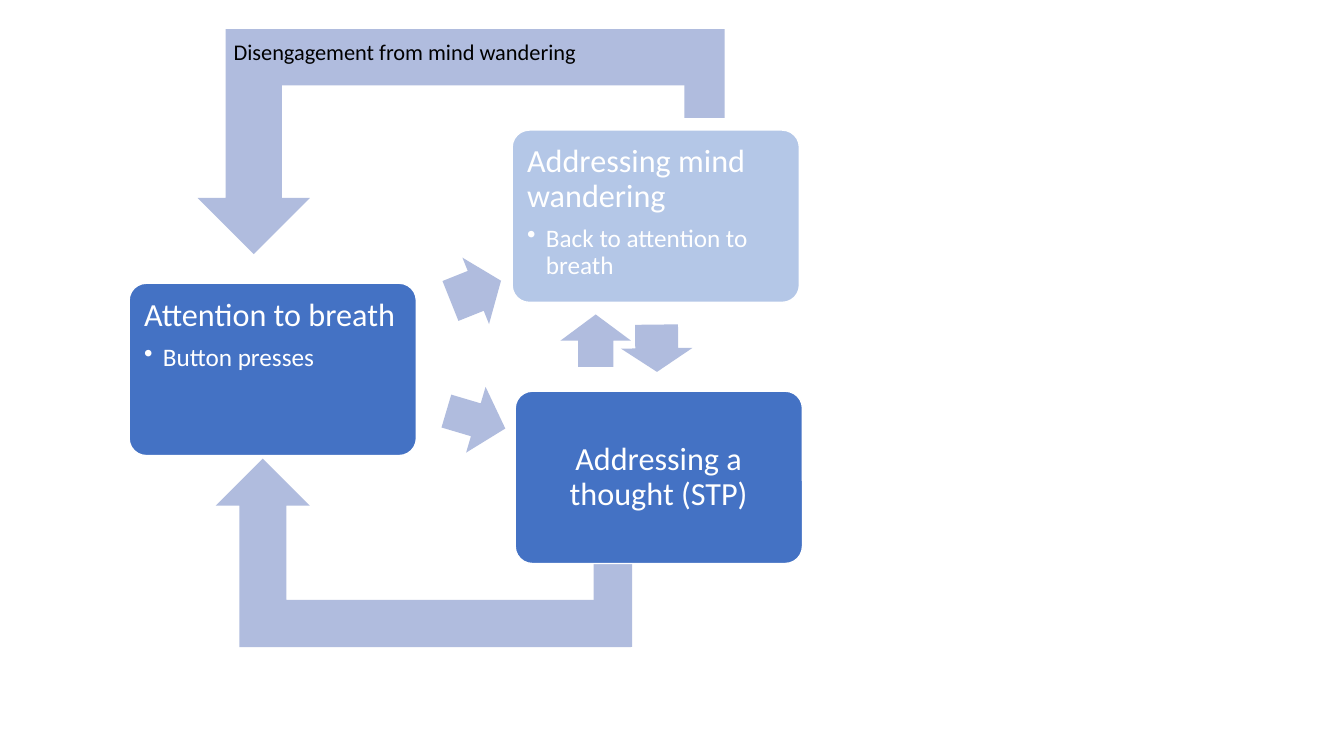
from lxml import etree
from pptx import Presentation
from pptx.dml.color import RGBColor
from pptx.enum.shapes import MSO_SHAPE
from pptx.enum.text import MSO_ANCHOR, PP_ALIGN
from pptx.oxml.ns import qn
from pptx.util import Pt

BENT, RECT, ROUND = MSO_SHAPE.BENT_UP_ARROW, MSO_SHAPE.RECTANGLE, MSO_SHAPE.ROUNDED_RECTANGLE
RIGHT, DOWN = MSO_SHAPE.RIGHT_ARROW, MSO_SHAPE.DOWN_ARROW
TOP, MIDDLE = MSO_ANCHOR.TOP, MSO_ANCHOR.MIDDLE
LEFT, CENTER = PP_ALIGN.LEFT, PP_ALIGN.CENTER
ARROW, BLUE, PALE, WHITE, BLACK = "B0BCDE", "4472C4", "B4C7E7", "FFFFFF", "000000"


def color(value):
    """Turn a hex string into a colour."""
    return RGBColor.from_string(value)


def add_filled(shapes, kind, box, fill, rotation=0, adj=()):
    """Add a flat filled preset shape without outline."""
    sp = shapes.add_shape(kind, *[Pt(v) for v in box])
    sp.shadow.inherit = False
    sp.fill.solid()
    sp.fill.fore_color.rgb = color(fill)
    sp.line.fill.background()
    sp.rotation = rotation
    for i, value in enumerate(adj):
        sp.adjustments[i] = value
    return sp


def format_text(p, size, hex_color):
    """Format every run of a paragraph."""
    for r in p.runs:
        r.font.size = Pt(size)
        r.font.name = "Calibri"
        r.font.color.rgb = color(hex_color)


def add_bullet(p, indent):
    """Give a paragraph a hanging bullet."""
    pPr = p._p.get_or_add_pPr()
    pPr.set("marL", str(Pt(indent)))
    pPr.set("indent", str(-Pt(indent)))
    etree.SubElement(pPr, qn("a:buChar")).set("char", "•")


def add_step(shapes, box, fill, heading, bullet=None):
    """Add a rounded step box, centred when it has only a heading."""
    sp = add_filled(shapes, ROUND, box, fill, adj=(0.1,))
    sp.line.color.rgb = color(WHITE)
    sp.line.width = Pt(1)
    tf = sp.text_frame
    tf.word_wrap = True
    tf.margin_left = tf.margin_right = tf.margin_top = tf.margin_bottom = Pt(7.2)
    tf.vertical_anchor = TOP if bullet else MIDDLE
    p = tf.paragraphs[0]
    p.text = heading
    p.alignment = LEFT if bullet else CENTER
    p.line_spacing = 0.9
    p.space_after = Pt(8)
    format_text(p, 23, WHITE)
    if bullet:
        p = tf.add_paragraph()
        p.text = bullet
        p.level = 1
        p.alignment = LEFT
        p.line_spacing = 0.9
        p.space_after = Pt(3)
        add_bullet(p, 13.5)
        format_text(p, 18, WHITE)


def add_return_loop(s, box, bent_width, stub, flip_v=False):
    """Add a bent arrow to the left and the stub at its right end."""
    x, y, w, h = box
    stub_w, stub_h = stub
    shapes = s.shapes.add_group_shape().shapes
    bent = add_filled(shapes, BENT, (x, y, bent_width, h), ARROW)
    xfrm = bent._element.spPr.find(qn("a:xfrm"))
    xfrm.set("flipH", "1")
    if flip_v:
        xfrm.set("flipV", "1")
    add_filled(shapes, RECT, (x + w - stub_w, y, stub_w, stub_h), ARROW)


def add_cycle(s, x, y):
    """Add the three steps and the arrows to and from mind wandering."""
    w, h = 205.2, 123.1
    shapes = s.shapes.add_group_shape().shapes
    add_step(shapes, (x, y + 109.4, w, h), BLUE, "Attention to breath", "Button presses")
    add_filled(shapes, RIGHT, (x + 228.2, y + 89.3, 38.9, 51.1), ARROW, 338.2, (0.6, 0.5))
    add_step(shapes, (x + 273.6, y, w, h), PALE, "Addressing mind wandering",
             "Back to attention to breath")
    add_filled(shapes, RIGHT, (x + 360, y + 130.3, 33.8, 51.1), ARROW, 89.4, (0.6, 0.5))
    add_step(shapes, (x + 275.8, y + 186.5, w, h), BLUE, "Addressing a thought (STP)")


def add_loop_label(s, box):
    """Add the caption of the upper return loop."""
    tf = s.shapes.add_textbox(*[Pt(v) for v in box]).text_frame
    tf.word_wrap = True
    tf.text = "Disengagement from mind wandering"
    format_text(tf.paragraphs[0], 16, BLACK)


def main():
    """Build the slide and save it."""
    prs = Presentation()
    prs.slide_width, prs.slide_height = Pt(960), Pt(540)
    s = prs.slides.add_slide(prs.slide_layouts[6])
    add_return_loop(s, (154.1, 327.6, 297.4, 134.6), 296.6, (27.4, 134.6))
    add_cycle(s, 92.2, 92.9)
    add_return_loop(s, (141.1, 20.9, 376.6, 160.6), 363.6, (28.8, 63.4), flip_v=True)
    add_loop_label(s, (159.8, 23.8, 405.4, 26.6))
    add_filled(s.shapes, DOWN, (315.4, 277.9, 49, 43.9), ARROW, 286.5)
    add_filled(s.shapes, DOWN, (400.3, 224.6, 50.4, 37.4), ARROW, 180)
    prs.save("out.pptx")


main()
